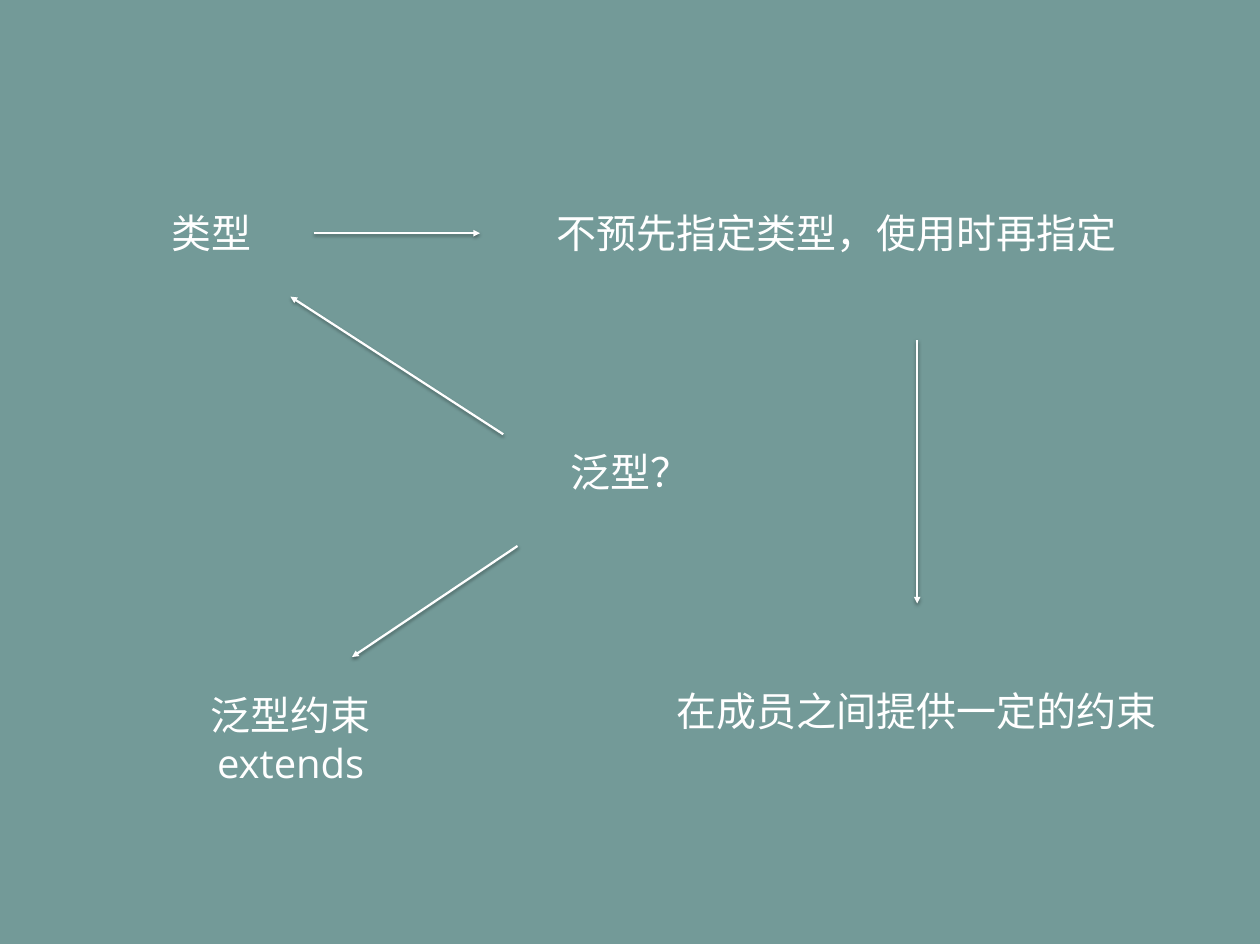
from lxml import etree
from pptx import Presentation
from pptx.dml.color import RGBColor
from pptx.enum import shapes, text
from pptx.oxml import parse_xml
from pptx.oxml.ns import nsdecls, qn
from pptx.util import Pt

FONT = "Open Sans"
WHITE = "FFFFFF"
FRAME = {
    "vertical_anchor": text.MSO_ANCHOR.MIDDLE,
    "auto_size": text.MSO_AUTO_SIZE.SHAPE_TO_FIT_TEXT,
    "margin_left": Pt(4),
    "margin_right": Pt(4),
    "margin_top": Pt(4),
    "margin_bottom": Pt(4),
}
LABELS = [  # words, left, top, width, height, wrap, alignment
    ("泛型？", 509.4, 395.7, 133, 58, True, "LEFT"),
    ("类型", 150.1, 180.7, 81.4, 58, False, "LEFT"),
    ("不预先指定类型，使用时再指定", 496.8, 180.7, 513.4, 58, False, "LEFT"),
    ("在成员之间提供一定的约束", 604.8, 611, 440.6, 58, False, "LEFT"),
    ("泛型约束extends", 151.2, 614.2, 221, 101, True, "CENTER"),
]
ARROWS = [  # from x, y to x, y
    (452.9, 391, 261.4, 267.1),
    (282.2, 210, 432, 210),
    (825.5, 306.5, 825.5, 543.4),
    (465.8, 491.6, 316.8, 591.6),
]
SHADOW = f"""<a:effectLst {nsdecls("a")}>
  <a:outerShdw blurRad="{Pt(3)}" dist="{Pt(1.8)}" dir="5400000" rotWithShape="0">
    <a:srgbClr val="000000"><a:alpha val="35000"/></a:srgbClr>
  </a:outerShdw>
</a:effectLst>"""


def paint(color, value):
    color.rgb = RGBColor.from_string(value)


def style(item, values):
    for key, value in values.items():
        setattr(item, key, value)


def add_label(slide, words, left, top, width, height, wrap, align):
    box = slide.shapes.add_textbox(Pt(left), Pt(top), Pt(width), Pt(height))
    frame = box.text_frame
    style(frame, {**FRAME, "word_wrap": wrap})
    para = frame.paragraphs[0]
    para.alignment = text.PP_ALIGN[align]
    run = para.add_run()
    run.text = words
    style(run.font, {"name": FONT, "size": Pt(36)})
    paint(run.font.color, WHITE)
    # Chinese characters take their font from a:ea
    etree.SubElement(run.font._element, qn("a:ea"), typeface=FONT)


def add_arrow(slide, *ends):
    line = slide.shapes.add_connector(
        shapes.MSO_CONNECTOR.STRAIGHT, *map(Pt, ends))
    line.line.width = Pt(2)
    paint(line.line.color, WHITE)
    props = line._element.spPr
    etree.SubElement(props.find(qn("a:ln")), qn("a:tailEnd"), type="triangle")
    props.append(parse_xml(SHADOW))


def main():
    deck = Presentation()
    style(deck, {"slide_width": Pt(1134), "slide_height": Pt(850)})
    slide = deck.slides.add_slide(deck.slide_layouts[6])
    fill = slide.background.fill
    fill.solid()
    paint(fill.fore_color, "739A98")
    for label in LABELS:
        add_label(slide, *label)
    for arrow in ARROWS:
        add_arrow(slide, *arrow)
    deck.save("out.pptx")


if __name__ == "__main__":
    main()
